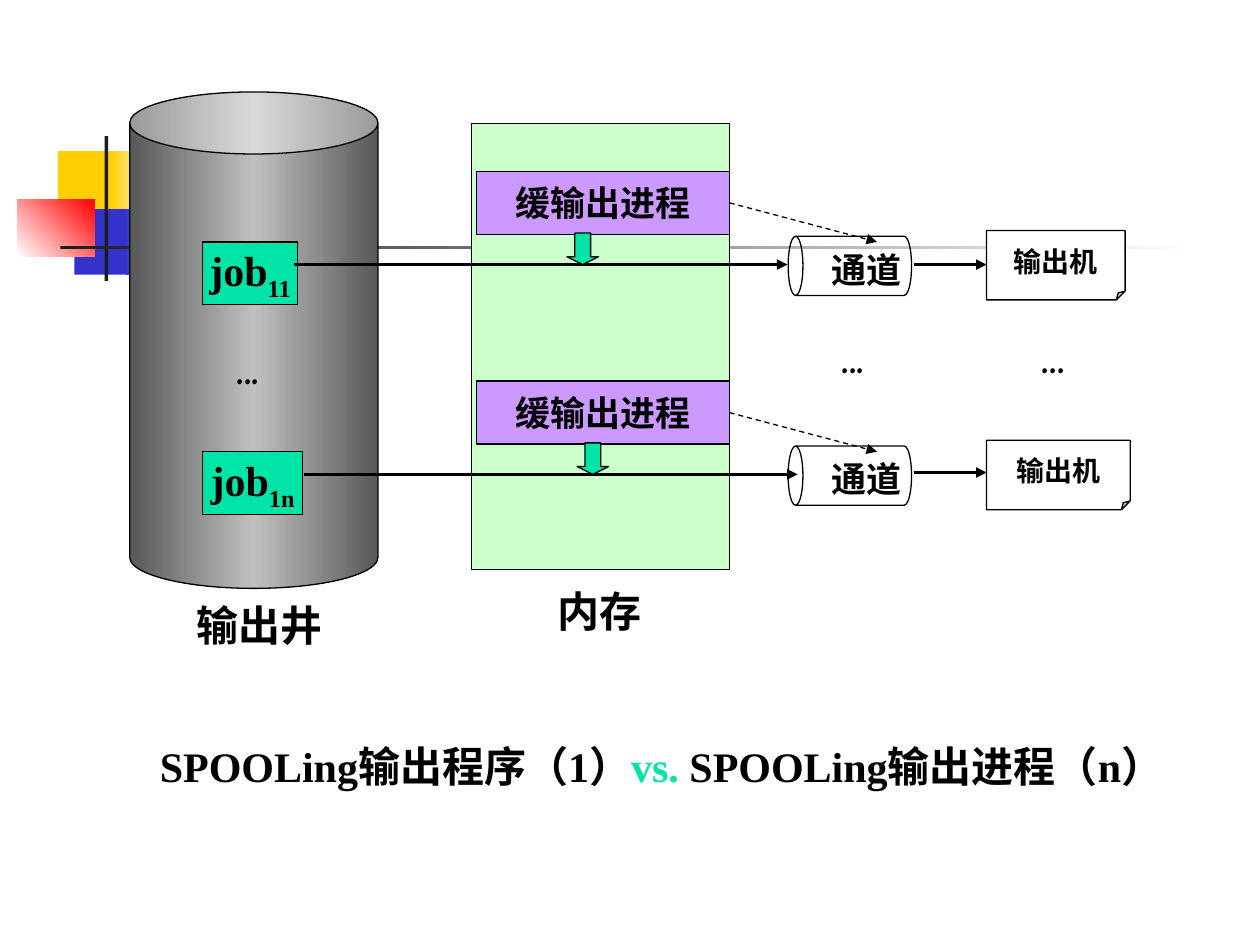
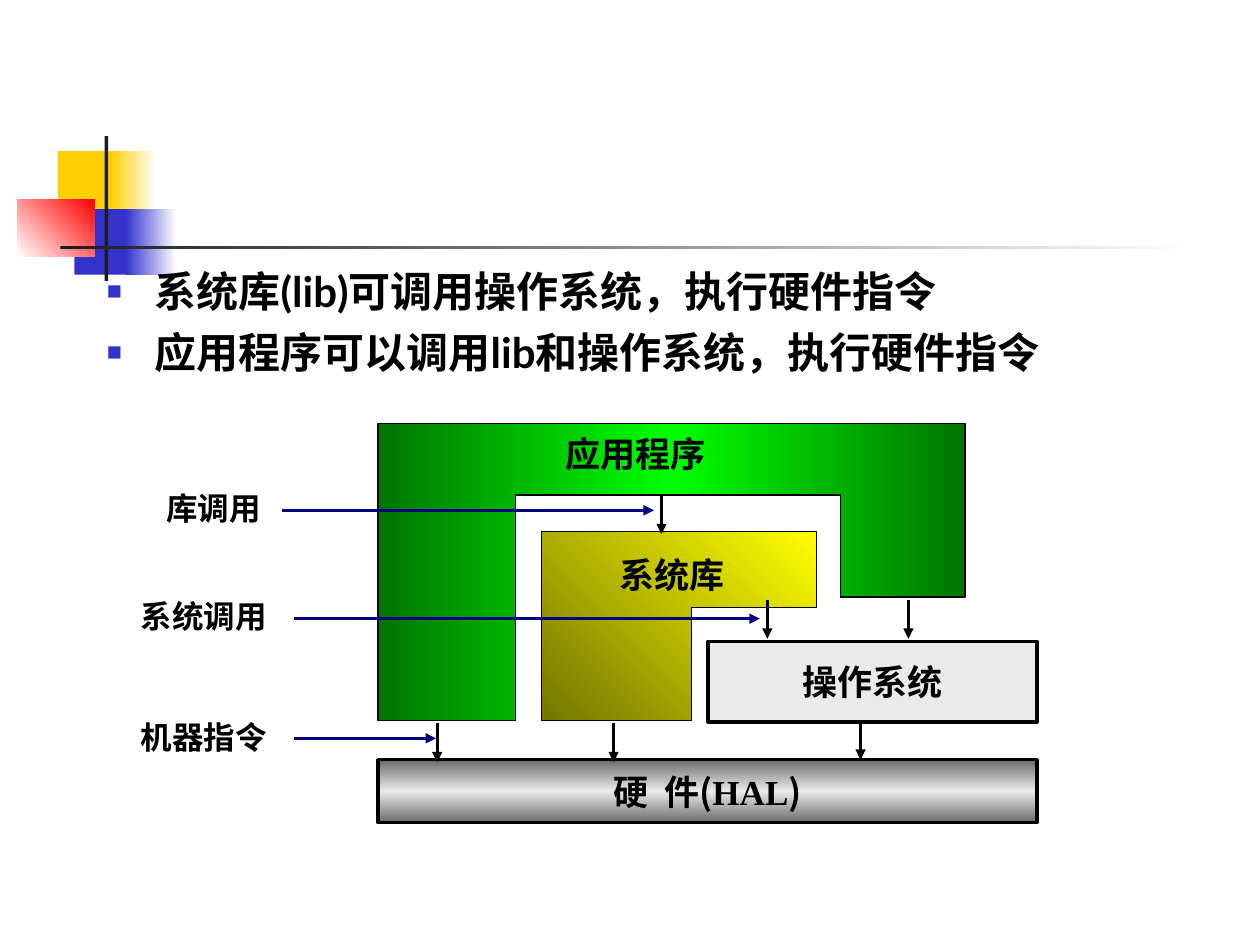
from lxml.etree import SubElement
from pptx import Presentation
from pptx.dml.color import RGBColor
from pptx.enum.dml import MSO_LINE
from pptx.enum.shapes import MSO_CONNECTOR, MSO_SHAPE as SHAPE
from pptx.enum.text import MSO_ANCHOR, PP_ALIGN
from pptx.oxml.ns import qn
from pptx.util import Inches, Pt

SERIF, COMIC, LATO, CJK = "Times New Roman", "Comic Neue", "Lato", "Noto Sans CJK SC"
BLACK, WHITE, INK = "000000", "FFFFFF", "1C1C1C"
GOLD, BLUE, RED, NAVY = "FFCF01", "3333CC", "FF0000", "000080"
MINT, LILAC, PALE_GREEN, SILVER = "00E4A8", "CC99FF", "CCFFCC", "EAEAEA"
ROW_PITCH = 1.665


def color(hex_code):
    return RGBColor.from_string(hex_code)


def sub(parent, tag, **attrs):
    return SubElement(parent, qn(tag), {k: str(v) for k, v in attrs.items()})


def paint(sp, fill=None, angle=0, line=None):
    """Fill with nothing, one colour or an even gradient; line is a width in points."""
    sp.shadow.inherit = False
    if fill is None:
        sp.fill.background()
    elif isinstance(fill, str):
        sp.fill.solid()
        sp.fill.fore_color.rgb = color(fill)
    else:
        sp.fill.gradient()
        grad = sp._element.spPr.find(qn("a:gradFill"))
        for child in list(grad):
            grad.remove(child)
        stops = sub(grad, "a:gsLst")
        for i, stop in enumerate(fill):
            gs = sub(stops, "a:gs", pos=100000 * i // (len(fill) - 1))
            sub(gs, "a:srgbClr", val=stop)
        sub(grad, "a:lin", ang=angle * 60000, scaled=0)
    if line:
        sp.line.color.rgb = color(BLACK)
        sp.line.width = Pt(line)
    else:
        sp.line.fill.background()


def adjust(sp, **guides):
    """Set the named adjustments of a preset shape, as fractions."""
    geometry = sp._element.spPr.find(qn("a:prstGeom"))
    for child in list(geometry):
        geometry.remove(child)
    av_list = sub(geometry, "a:avLst")
    for name, value in guides.items():
        sub(av_list, "a:gd", name=name, fmla=f"val {round(value * 100000)}")


def add_run(p, text, size=24, font=SERIF, hue=BLACK, base=None):
    r = p.add_run()
    r.text = text
    r.font.size, r.font.bold, r.font.name = Pt(size), True, font
    r.font.color.rgb = color(hue)
    sub(r._r.get_or_add_rPr(), "a:ea", typeface=CJK)
    if base:
        r._r.get_or_add_rPr().set("baseline", str(base * 1000))


def write(p, text, **fmt):
    """Text is a string, or a list of (string, format changes)."""
    for part, changes in [(text, {})] if isinstance(text, str) else text:
        add_run(p, part, **{**fmt, **changes})


def shape(s, kind, x, y, w, h, text=None, fill=None, angle=0, line=0.75, **fmt):
    sp = s.shapes.add_shape(kind, Inches(x), Inches(y), Inches(w), Inches(h))
    paint(sp, fill, angle, line)
    if text:
        tf = sp.text_frame
        tf.word_wrap, tf.vertical_anchor = False, MSO_ANCHOR.MIDDLE
        p = tf.paragraphs[0]
        p.alignment = PP_ALIGN.CENTER
        write(p, text, **fmt)
    return sp


def polygon(s, points, fill, angle):
    start, *rest = [(Inches(x), Inches(y)) for x, y in points]
    builder = s.shapes.build_freeform(*start)
    builder.add_line_segments(rest, close=True)
    paint(builder.convert_to_shape(), fill, angle, 0.75)


def label(s, x, y, w, h, text, align=PP_ALIGN.LEFT, **fmt):
    tb = s.shapes.add_textbox(Inches(x), Inches(y), Inches(w), Inches(h))
    tb.text_frame.word_wrap = True
    p = tb.text_frame.paragraphs[0]
    p.alignment = align
    write(p, text, **fmt)


def bullets(s, x, y, w, h, items):
    tb = s.shapes.add_textbox(Inches(x), Inches(y), Inches(w), Inches(h))
    tf = tb.text_frame
    tf.word_wrap = True
    for i, item in enumerate(items):
        p = tf.add_paragraph() if i else tf.paragraphs[0]
        pPr = p._p.get_or_add_pPr()
        pPr.set("marL", str(Inches(0.38)))
        pPr.set("indent", str(-Inches(0.38)))
        sub(sub(pPr, "a:buClr"), "a:srgbClr", val=BLUE)
        sub(pPr, "a:buSzPct", val=60000)
        sub(pPr, "a:buFont", typeface=SERIF)
        sub(pPr, "a:buChar", char="■")
        if i:
            p.space_before = Pt(6)
        write(p, item, font=LATO)


def arrow(s, x1, y1, x2, y2, width=2, hue=BLACK, dashed=False):
    c = s.shapes.add_connector(MSO_CONNECTOR.STRAIGHT, Inches(x1), Inches(y1),
                               Inches(x2), Inches(y2))
    c.line.color.rgb = color(hue)
    c.line.width = Pt(width)
    if dashed:
        c.line.dash_style = MSO_LINE.DASH
    sub(c.line._get_or_add_ln(), "a:tailEnd", type="triangle")
    sub(c._element.spPr, "a:effectLst")


def new_slide(prs):
    """Blank slide with the coloured squares and the crossing bars."""
    s = prs.slides.add_slide(prs.slide_layouts[6])
    for box, fill, angle in [
        ((0.46, 1.2, 0.48, 0.52), GOLD, 0),
        ((0.88, 1.2, 0.36, 0.52), (GOLD, WHITE), 0),
        ((0.59, 1.66, 0.46, 0.52), BLUE, 0),
        ((1, 1.66, 0.4, 0.52), (BLUE, WHITE), 0),
        ((0.14, 1.58, 0.61, 0.46), (WHITE, RED), 315),
        ((0.83, 1.08, 0.03, 1.15), INK, 0),
        ((0.48, 1.95, 9, 0.03), (INK, WHITE), 0),
    ]:
        shape(s, SHAPE.RECTANGLE, *box, fill=fill, angle=angle, line=None)
    return s


def output_row(s, dy, index, job_w, shift, printer_w, printer_y):
    """One job on its way through memory and channel to a printer."""
    can = shape(s, SHAPE.CAN, 6.51, 1.62 + dy, 0.47, 0.98)
    can.rotation = 270
    label(s, 6.5, 1.92 + dy, 0.92, 0.44, "通道", size=20)
    shape(s, SHAPE.RECTANGLE, 1.61, 1.92 + dy, job_w, 0.5,
          [("job", {}), (index, {"base": -25})], MINT)
    shape(s, SHAPE.RECTANGLE, 3.78, 1.36 + dy, 2.01, 0.5, "缓输出进程", LILAC, size=20)
    arrow(s, 2.33 + shift, 2.1 + dy, 6.25 + shift, 2.1 + dy)
    down = shape(s, SHAPE.DOWN_ARROW, 4.5 + shift, 1.85 + dy, 0.25, 0.25, fill=MINT)
    adjust(down, adj1=0.5, adj2=0.25)
    printer = shape(s, SHAPE.FOLDED_CORNER, 7.83, 1.83 + dy, printer_w, 0.55, "输出机",
                    WHITE, size=16)
    adjust(printer, adj=0.125)
    arrow(s, 7.25, printer_y, 7.83, printer_y)
    arrow(s, 5.79, 1.61 + dy, 6.96, 1.92 + dy, 0.75, dashed=True)


def spooling_slide(prs):
    s = new_slide(prs)
    shape(s, SHAPE.CAN, 1.03, 0.73, 1.97, 3.94, fill=("585858", "C0C0C0", "585858"))
    shape(s, SHAPE.RECTANGLE, 3.74, 0.98, 2.05, 3.54, fill=PALE_GREEN)
    output_row(s, 0, "11", 0.75, 0, 1.1, 2.1)
    output_row(s, ROW_PITCH, "1n", 0.79, 0.08, 1.14, 3.75)
    for x, y in [(1.78, 2.67), (6.58, 2.58), (8.17, 2.58)]:
        label(s, x, y, 0.55, 0.5, "...", font=COMIC)
    label(s, 1.46, 4.71, 1.33, 0.5, "输出井")
    label(s, 4.33, 4.6, 1, 0.5, "内存")
    label(s, 1.17, 5.83, 8.24, 0.9, [("SPOOLing输出程序（1）", {}), ("vs.", {"hue": MINT}),
                                     (" SPOOLing输出进程（n）", {})])


def system_calls_slide(prs):
    s = new_slide(prs)
    bullets(s, 0.75, 2.06, 8.5, 1.1, ["系统库(lib)可调用操作系统，执行硬件指令",
                                      "应用程序可以调用lib和操作系统，执行硬件指令"])
    shape(s, SHAPE.RECTANGLE, 3, 6.03, 5.23, 0.5,
          [("硬  件", {}), ("(", {"font": CJK}), ("HAL", {}), (")", {"font": CJK})],
          ("6B6B6B", SILVER, "6B6B6B"), 90, line=2, size=20)
    shape(s, SHAPE.RECTANGLE, 5.62, 5.09, 2.61, 0.64, "操作系统", SILVER, line=2, size=20)
    library = [(4.3, 5.72), (4.3, 4.22), (6.48, 4.22), (6.48, 4.82), (5.49, 4.82),
               (5.49, 5.72)]
    polygon(s, library, ("FFFF00", "757500"), 135)
    application = [(3, 5.72), (3, 3.36), (7.66, 3.36), (7.66, 4.74), (6.67, 4.74),
                   (6.67, 3.93), (4.09, 3.93), (4.09, 5.72)]
    polygon(s, application, ("007500", "00FF00", "007500"), 180)
    label(s, 4.59, 4.34, 1.49, 0.44, "系统库", PP_ALIGN.CENTER, size=20)
    label(s, 4.39, 3.38, 1.58, 0.44, "应用程序", size=20)
    for x, y in [(3.47, 5.74), (4.87, 5.74), (6.83, 5.72), (6.09, 4.76), (7.21, 4.76),
                 (5.25, 3.93)]:
        arrow(s, x, y, x, y + 0.31, 1.75)
    for text, x, y, start, end, line_y in [
        ("库调用", 1.22, 3.83, 2.24, 5.19, 4.05),
        ("系统调用", 1.02, 4.69, 2.33, 6.03, 4.91),
        ("机器指令", 1.02, 5.65, 2.33, 3.46, 5.86),
    ]:
        label(s, x, y, 1.6, 0.4, text, size=18)
        arrow(s, start, line_y, end, line_y, 1.5, NAVY)


def main():
    prs = Presentation()
    prs.slide_width, prs.slide_height = Inches(10), Inches(7.5)
    spooling_slide(prs)
    system_calls_slide(prs)
    prs.save("out.pptx")


if __name__ == "__main__":
    main()
